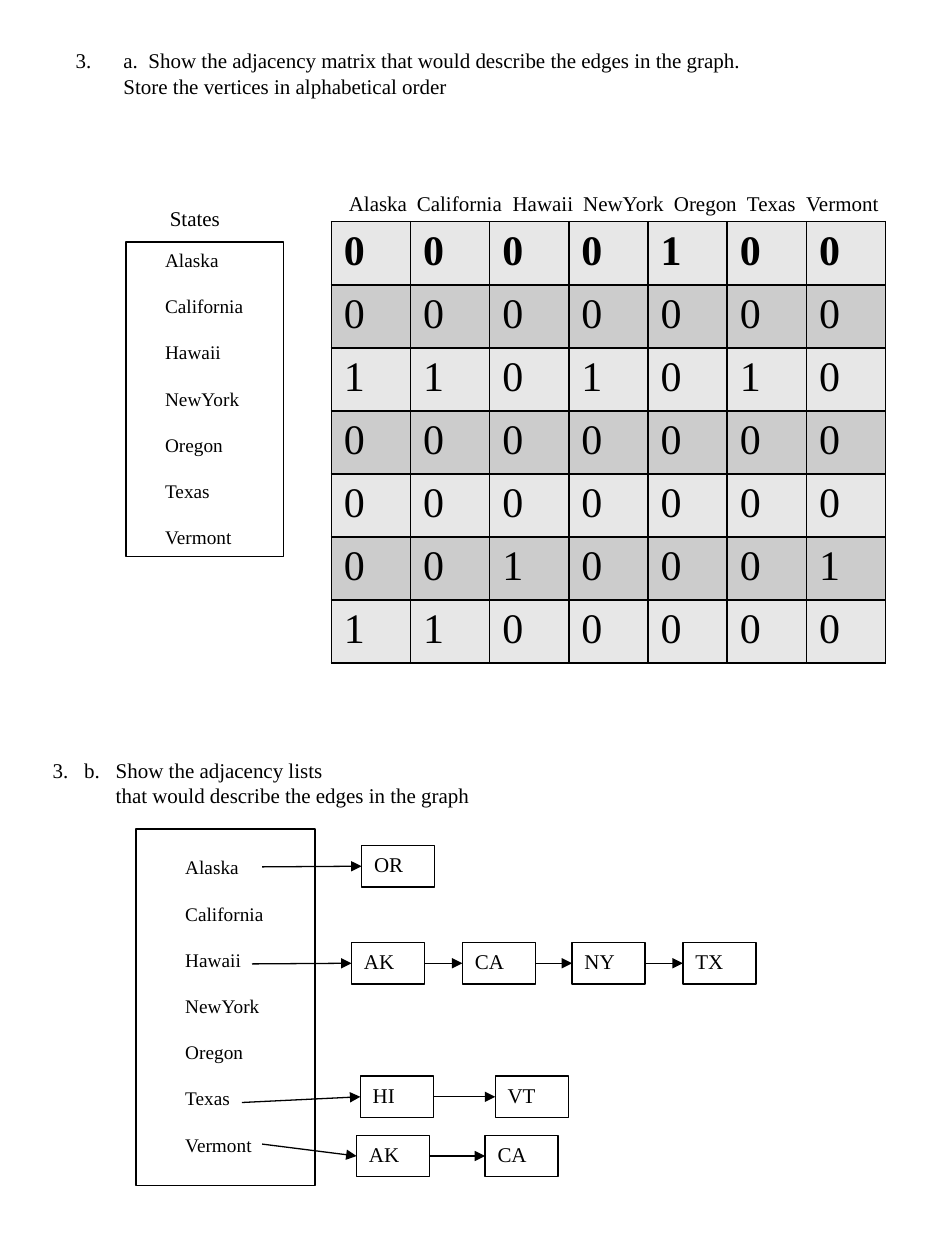
from pptx import Presentation
from pptx.dml.color import RGBColor
from pptx.enum.shapes import MSO_CONNECTOR, MSO_SHAPE
from pptx.enum.text import MSO_ANCHOR, MSO_AUTO_SIZE, PP_ALIGN
from pptx.oxml.ns import qn
from pptx.util import Inches, Pt
from lxml import etree

STRAIGHT = MSO_CONNECTOR.STRAIGHT
RECTANGLE = MSO_SHAPE.RECTANGLE
TOP = MSO_ANCHOR.TOP
NO_AUTOFIT = MSO_AUTO_SIZE.NONE
LEFT = PP_ALIGN.LEFT

BLACK = RGBColor(0x00, 0x00, 0x00)
WHITE = RGBColor(0xFF, 0xFF, 0xFF)
LIGHT_GRAY = RGBColor(0xE7, 0xE7, 0xE7)
DARK_GRAY = RGBColor(0xCC, 0xCC, 0xCC)
FONT = "Times New Roman"
LEFT_SIDE, RIGHT_SIDE = 1, 3
NODE_WIDTH, NODE_HEIGHT = 0.58, 0.33

STATES = ["Alaska", "California", "Hawaii", "NewYork", "Oregon", "Texas", "Vermont"]
HEADER_TABS = [0.54, 1.3, 1.86, 2.58, 3.16, 3.63]
MATRIX = ["0000100", "0000000", "1101010", "0000000",
          "0000000", "0010001", "1100000"]
# Arrow start, top of the nodes, then (left, state) for each node
CHAINS = [
    ((2.08, 6.88), 6.71, [(2.87, "OR")]),
    ((2.0, 7.65), 7.48, [(2.79, "AK"), (3.67, "CA"), (4.54, "NY"), (5.42, "TX")]),
    ((1.92, 8.75), 8.54, [(2.86, "HI"), (3.93, "VT")]),
    ((2.08, 9.08), 9.01, [(2.83, "AK"), (3.85, "CA")]),
]


def format_text(frame, size, bold=False):
    frame.vertical_anchor = TOP
    for para in frame.paragraphs:
        para.alignment = LEFT
        for span in para.runs:
            span.font.name = FONT
            span.font.size = Pt(size)
            span.font.bold = bold
            span.font.color.rgb = BLACK


def place(shape, left, top, width, height):
    shape.left, shape.top = Inches(left), Inches(top)
    shape.width, shape.height = Inches(width), Inches(height)


def set_indent(para, margin, first_line=0.0):
    properties = para._p.get_or_add_pPr()
    properties.set("marL", str(Inches(margin)))
    properties.set("indent", str(Inches(first_line)))
    return properties


def add_tabs(para, stops):
    tabs = etree.SubElement(para._p.get_or_add_pPr(), qn("a:tabLst"))
    for stop in stops:
        etree.SubElement(tabs, qn("a:tab"), pos=str(Inches(stop)), algn="l")


def fill_title(title):
    place(title, 0.5, 0.33, 5.83, 0.5)
    frame = title.text_frame
    frame.text = ("a.  Show the adjacency matrix that would describe the edges "
                  "in the graph. Store the vertices in alphabetical order")
    frame.auto_size = NO_AUTOFIT
    format_text(frame, 12)
    properties = set_indent(frame.paragraphs[0], 0.38, -0.38)
    etree.SubElement(properties, qn("a:buAutoNum"), type="arabicPeriod", startAt="3")


def fill_state_list(body, left, top, width):
    place(body, left, top, width, 2.51)
    frame = body.text_frame
    frame.text = "\n".join(STATES)
    frame.auto_size = NO_AUTOFIT
    format_text(frame, 11)
    for para in frame.paragraphs:
        para.space_before = Pt(0)
        para.space_after = Pt(13.2)
        etree.SubElement(set_indent(para, 0), qn("a:buNone"))


def add_label(page, left, top, width, height, text):
    box = page.shapes.add_textbox(*map(Inches, (left, top, width, height)))
    frame = box.text_frame
    frame.word_wrap = True
    frame.margin_right = 0
    frame.text = text
    format_text(frame, 12)
    return frame


def add_box(page, left, top, width, height):
    box = page.shapes.add_shape(RECTANGLE, *map(Inches, (left, top, width, height)))
    box.shadow.inherit = False
    box.fill.background()
    box.line.color.rgb = BLACK
    box.line.width = Pt(0.75)
    return box


def add_node(page, left, top, state):
    node = add_box(page, left, top, NODE_WIDTH, NODE_HEIGHT)
    node.fill.solid()
    node.fill.fore_color.rgb = WHITE
    node.text_frame.text = state
    format_text(node.text_frame, 12)
    return node


def add_arrow(page, start, source, target):
    x, y = map(Inches, start)
    arrow = page.shapes.add_connector(STRAIGHT, x, y, x, y)
    if source is not None:
        arrow.begin_connect(source, RIGHT_SIDE)
    arrow.end_connect(target, LEFT_SIDE)
    arrow.line.color.rgb = BLACK
    arrow.line.width = Pt(0.75)
    etree.SubElement(arrow.line._get_or_add_ln(), qn("a:tailEnd"), type="triangle")
    etree.SubElement(arrow._element.spPr, qn("a:effectLst"))


def add_chain(page, start, top, nodes):
    source = None
    for left, state in nodes:
        node = add_node(page, left, top, state)
        add_arrow(page, start, source, node)
        source = node


def add_cell_borders(cell):
    properties = cell._tc.get_or_add_tcPr()
    for side in ("a:lnL", "a:lnR", "a:lnT", "a:lnB"):
        line = etree.SubElement(properties, qn(side), w=str(Pt(1)))
        fill = etree.SubElement(line, qn("a:solidFill"))
        etree.SubElement(fill, qn("a:srgbClr"), val=str(BLACK))


def add_matrix(page):
    size = len(MATRIX)
    table = page.shapes.add_table(size, size, Inches(2.63), Inches(1.76),
                                  Inches(4.4), Inches(0.5 * size)).table
    table.first_row = False
    table.horz_banding = False
    for row, values in enumerate(MATRIX):
        for column, value in enumerate(values):
            cell = table.cell(row, column)
            cell.text = value
            format_text(cell.text_frame, 24, bold=row == 0)
            add_cell_borders(cell)
            cell.fill.solid()
            cell.fill.fore_color.rgb = DARK_GRAY if row % 2 else LIGHT_GRAY


def main():
    deck = Presentation()
    deck.slide_width, deck.slide_height = Inches(7.5), Inches(10)
    page = deck.slides.add_slide(deck.slide_layouts[3])

    # Question a: adjacency matrix
    fill_title(page.shapes.title)
    add_box(page, 1, 1.92, 1.25, 2.5)
    fill_state_list(page.placeholders[1], 1.21, 1.92, 1.25)
    add_label(page, 1.25, 1.58, 0.6, 0.3, "States")
    header = add_label(page, 2.67, 1.46, 4.58, 0.3, "\t".join(STATES))
    add_tabs(header.paragraphs[0], HEADER_TABS)
    add_matrix(page)

    # Question b: adjacency lists
    question = add_label(page, 0.32, 5.96, 3.52, 0.5,
                         "3.\tb.\tShow the adjacency lists\n"
                         "that would describe the edges in the graph")
    add_tabs(question.paragraphs[0], [0.25, 0.5])
    set_indent(question.paragraphs[1], 0.5)
    add_box(page, 1.08, 6.58, 1.42, 2.83)
    fill_state_list(page.placeholders[2], 1.37, 6.74, 1.42)
    for start, top, nodes in CHAINS:
        add_chain(page, start, top, nodes)

    deck.save("out.pptx")


if __name__ == "__main__":
    main()
